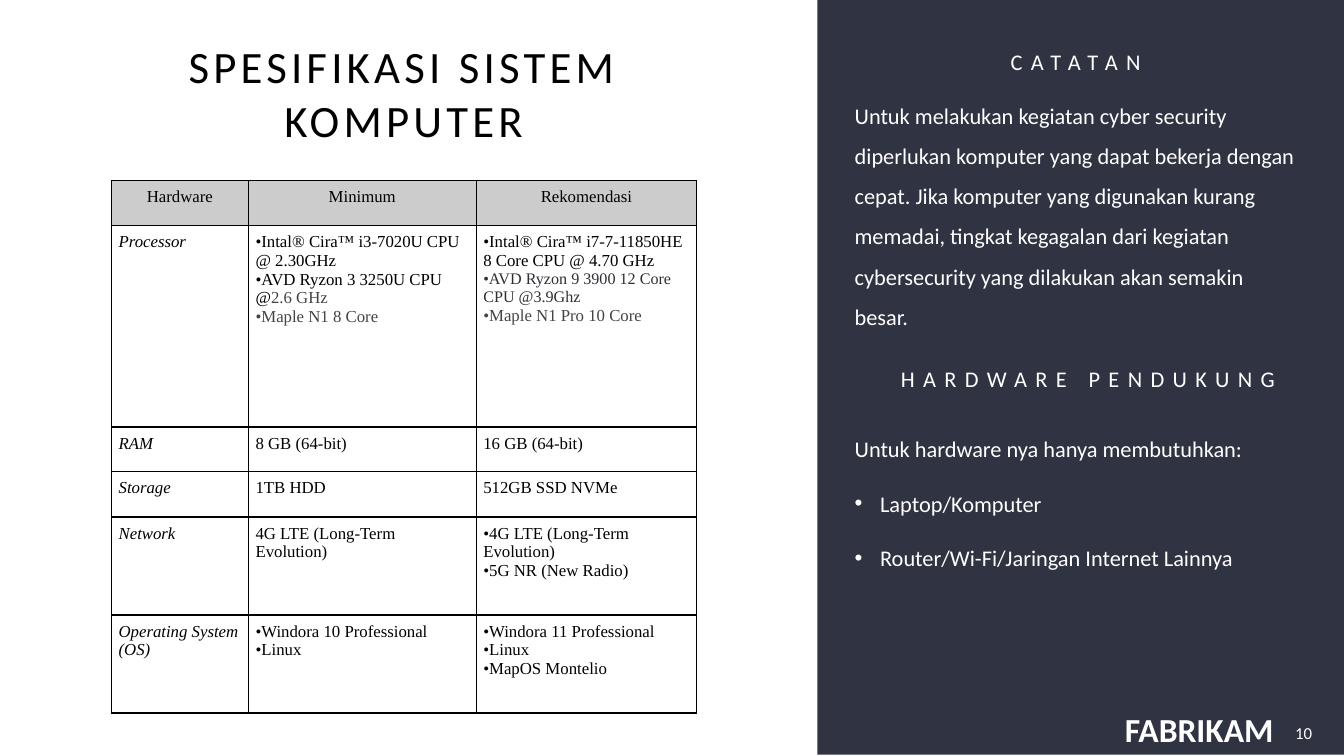
import lxml.etree
import pptx
import pptx.dml.color
import pptx.enum.shapes
import pptx.enum.text
import pptx.oxml.ns
import pptx.util

Cm = pptx.util.Cm
Pt = pptx.util.Pt
RGBColor = pptx.dml.color.RGBColor
ALIGN = pptx.enum.text.PP_ALIGN
ANCHOR = pptx.enum.text.MSO_ANCHOR
qn = pptx.oxml.ns.qn

NAVY = RGBColor(0x2F, 0x33, 0x42)
WHITE = RGBColor(0xFF, 0xFF, 0xFF)
BLACK = RGBColor(0, 0, 0)
HEADER_GRAY = RGBColor(0xCC, 0xCC, 0xCC)
TEXT_GRAY = RGBColor(0x44, 0x44, 0x44)
TEXT_CHARCOAL = RGBColor(0x2C, 0x2F, 0x34)

COLUMN_WIDTHS = [3.45, 5.74, 5.56]
ROW_HEIGHTS = [1.14, 5.07, 1.13, 1.14, 2.47, 2.47]

# A string is a plain cell; a list is bulleted, each item a list of
# runs (text, colour, size)
SPECIFICATIONS = [
    ["Hardware", "Minimum", "Rekomendasi"],
    ["Processor",
     [[("Intal® Cira™ i3-7020U CPU @ 2.30GHz", BLACK, 12)],
      [("AVD Ryzon 3 3250U CPU @", BLACK, 12), ("2.6 GHz", TEXT_GRAY, 12)],
      [("Maple N1 8 Core", TEXT_GRAY, 12)]],
     [[("Intal® Cira™ i7-7-11850HE 8 Core CPU @ 4.70 GHz", BLACK, 12)],
      [("AVD Ryzon 9 3900 12 Core CPU @3.9Ghz", TEXT_CHARCOAL, 11.5)],
      [("Maple N1 Pro 10 Core", TEXT_GRAY, 12)]]],
    ["RAM", "8 GB (64-bit)", "16 GB (64-bit)"],
    ["Storage", "1TB HDD", "512GB SSD NVMe"],
    ["Network", "4G LTE (Long-Term Evolution)",
     [[("4G LTE (Long-Term Evolution)", BLACK, 12)],
      [("5G NR (New Radio)", BLACK, 12)]]],
    ["Operating System (OS)",
     [[("Windora 10 Professional", BLACK, 12)], [("Linux", BLACK, 12)]],
     [[("Windora 11 Professional", BLACK, 12)], [("Linux", BLACK, 12)],
      [("MapOS Montelio", BLACK, 12)]]],
]

NOTE = ("Untuk melakukan kegiatan cyber security diperlukan komputer yang dapat "
        "bekerja dengan cepat. Jika komputer yang digunakan kurang memadai, "
        "tingkat kegagalan dari kegiatan cybersecurity yang dilakukan akan "
        "semakin besar.")
SUPPORT_INTRO = "Untuk hardware nya hanya membutuhkan:"
SUPPORT_ITEMS = ["Laptop/Komputer", "Router/Wi-Fi/Jaringan Internet Lainnya"]


def set_font(paragraph, name, size, color, bold=False, italic=False):
    font = paragraph.font
    font.name, font.size = name, Pt(size)
    font.bold, font.italic = bold, italic
    font.color.rgb = color


def add_bullet(paragraph, font_name, indent=0):
    properties = paragraph._p.get_or_add_pPr()
    properties.set("marL", str(Cm(indent)))
    properties.set("indent", str(-Cm(indent)))
    lxml.etree.SubElement(properties, qn("a:buFont"), typeface=font_name)
    lxml.etree.SubElement(properties, qn("a:buChar"), char="•")


def add_text(slide, left, top, width, height, lines, size, color, align=ALIGN.LEFT,
             anchor=ANCHOR.MIDDLE, spacing=1.0, tracking=0, bold=False,
             first_bullet=None, side_margin=0, wrap=True):
    """Text box; lines from index first_bullet onwards are bulleted."""
    box = slide.shapes.add_textbox(Cm(left), Cm(top), Cm(width), Cm(height))
    frame = box.text_frame
    frame.word_wrap = wrap
    frame.vertical_anchor = anchor
    frame.margin_left = frame.margin_right = Cm(side_margin)
    for index, line in enumerate(lines):
        paragraph = frame.add_paragraph() if index else frame.paragraphs[0]
        run = paragraph.add_run()
        run.text = line
        if tracking:
            run._r.get_or_add_rPr().set("spc", str(tracking * 100))
        if first_bullet is not None and index >= first_bullet:
            add_bullet(paragraph, "Arial", 0.64)
        paragraph.alignment = align
        paragraph.line_spacing = spacing
        if index:
            paragraph.space_before = Pt(10)
        set_font(paragraph, "Calibri", size, color, bold)


def style_cell(cell, fill_color):
    properties = cell._tc.get_or_add_tcPr()
    for side in ("a:lnL", "a:lnR", "a:lnT", "a:lnB"):
        border = lxml.etree.SubElement(properties, qn(side), w=str(Pt(1)))
        fill = lxml.etree.SubElement(border, qn("a:solidFill"))
        lxml.etree.SubElement(fill, qn("a:srgbClr"), val=str(BLACK))
    cell.fill.solid()
    cell.fill.fore_color.rgb = fill_color
    cell.margin_left = cell.margin_right = Cm(0.18)
    cell.margin_top = cell.margin_bottom = Cm(0.18)


def fill_cell(cell, content, is_header, is_label):
    bulleted = isinstance(content, list)
    items = content if bulleted else [[(content, BLACK, 12)]]
    for index, runs in enumerate(items):
        frame = cell.text_frame
        paragraph = frame.add_paragraph() if index else frame.paragraphs[0]
        if bulleted:
            add_bullet(paragraph, "Times New Roman")
        paragraph.alignment = ALIGN.CENTER if is_header else ALIGN.LEFT
        set_font(paragraph, "Times New Roman", runs[0][2], runs[0][1], italic=is_label)
        for text, color, size in runs:
            run = paragraph.add_run()
            run.text = text
            run.font.size = Pt(size)
            run.font.color.rgb = color


def add_specification_table(slide, left, top):
    frame = slide.shapes.add_table(
        len(ROW_HEIGHTS), len(COLUMN_WIDTHS), Cm(left), Cm(top),
        Cm(sum(COLUMN_WIDTHS)), Cm(sum(ROW_HEIGHTS)))
    table = frame.table
    table.first_row = table.horz_banding = False
    for column, width in zip(table.columns, COLUMN_WIDTHS):
        column.width = Cm(width)
    for row, height in zip(table.rows, ROW_HEIGHTS):
        row.height = Cm(height)
    for row_index, contents in enumerate(SPECIFICATIONS):
        is_header = row_index == 0
        for column_index, content in enumerate(contents):
            cell = table.cell(row_index, column_index)
            style_cell(cell, HEADER_GRAY if is_header else WHITE)
            fill_cell(cell, content, is_header, column_index == 0 and not is_header)


def add_main_region(slide, left, top):
    add_text(slide, left + 0.8, top, 13.13, 1.6, ["SPESIFIKASI SISTEM KOMPUTER"],
             32, BLACK, ALIGN.CENTER, tracking=3)
    add_specification_table(slide, left, top + 3.02)


def add_side_panel(slide, left, top, width, height):
    # Background
    panel = slide.shapes.add_shape(pptx.enum.shapes.MSO_SHAPE.RECTANGLE,
                                   Cm(left), Cm(top), Cm(width), Cm(height))
    panel.shadow.inherit = False
    panel.fill.solid()
    panel.fill.fore_color.rgb = NAVY
    panel.line.fill.background()

    # Headings
    for offset, y, heading in ((-0.41, 0.8, "CATATAN"),
                               (-0.1, 8.79, "HARDWARE PENDUKUNG")):
        add_text(slide, left + offset, top + y, 13.84, 1.14, [heading], 16, WHITE,
                 ALIGN.CENTER, spacing=1.5, tracking=6)

    # Body text
    for y, lines in ((2.1, [NOTE]), (10.51, [SUPPORT_INTRO, *SUPPORT_ITEMS])):
        add_text(slide, left + 0.94, top + y, 11.15, 6.71, lines, 16, WHITE,
                 anchor=ANCHOR.TOP, spacing=1.5, first_bullet=1)

    # Footer: company name and page number
    add_text(slide, left + 7.7, top + 17.81, 3.89, 1.14, ["FABRIKAM"], 24, WHITE,
             bold=True, side_margin=0.05, wrap=False)
    add_text(slide, left + 11.48, top + 17.96, 1.24, 1.02, ["10"], 12, WHITE,
             ALIGN.RIGHT, side_margin=0.25)


def main():
    presentation = pptx.Presentation()
    presentation.slide_width, presentation.slide_height = Cm(33.87), Cm(19.05)
    slide = presentation.slides.add_slide(presentation.slide_layouts[6])
    add_side_panel(slide, 20.6, 0, 13.27, 19.02)
    add_main_region(slide, 2.81, 1.53)
    presentation.save("out.pptx")


if __name__ == "__main__":
    main()
